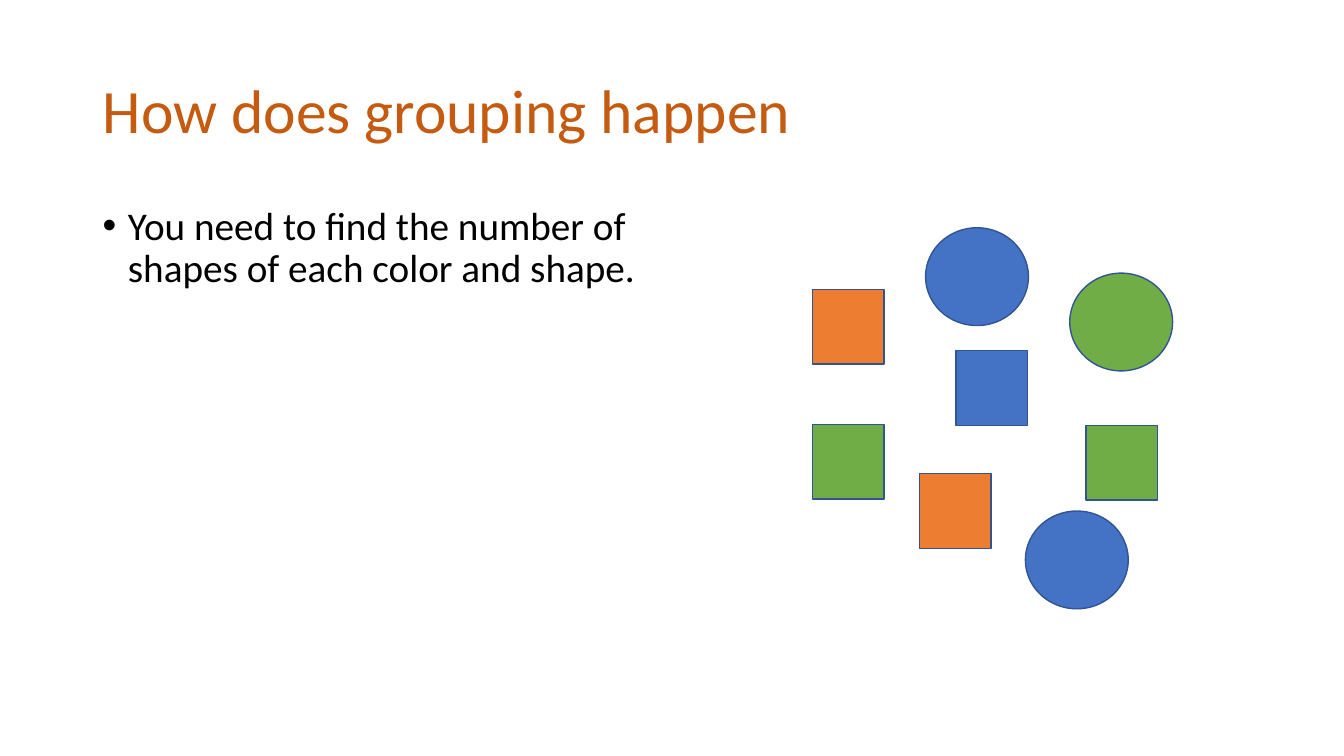
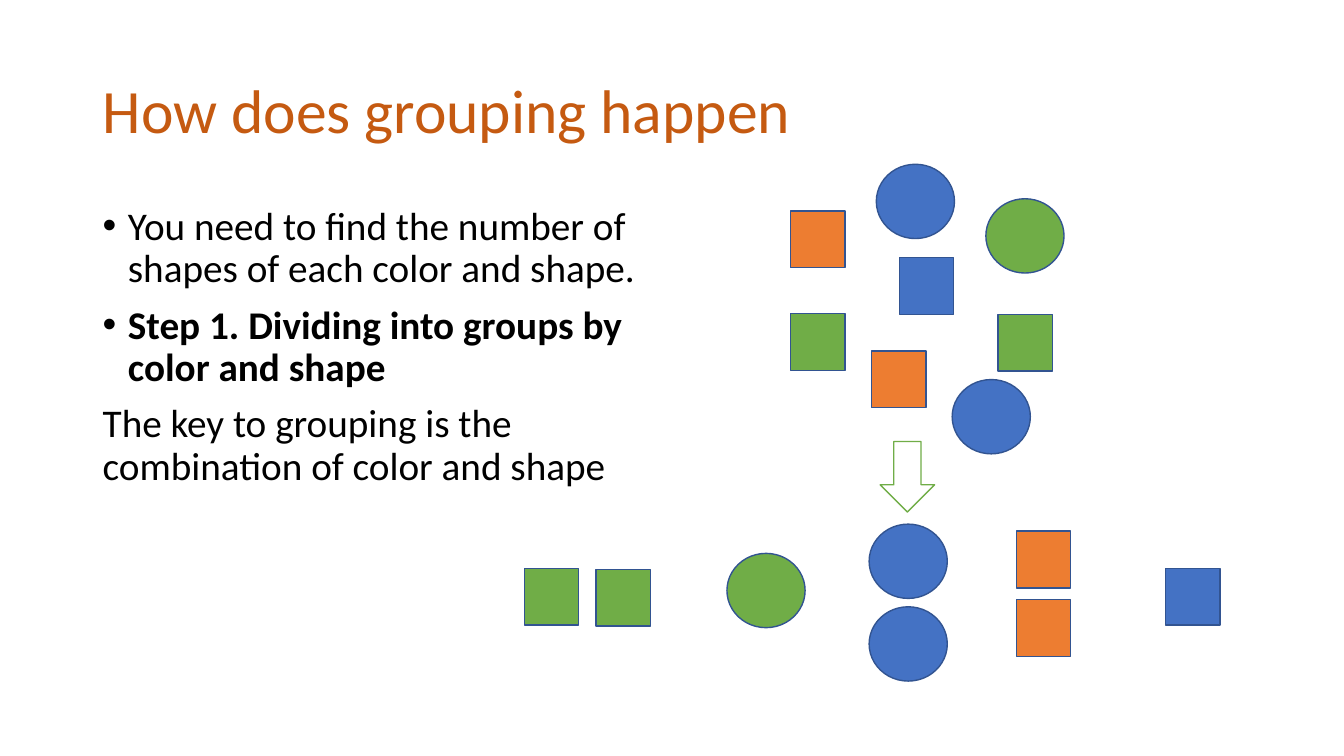
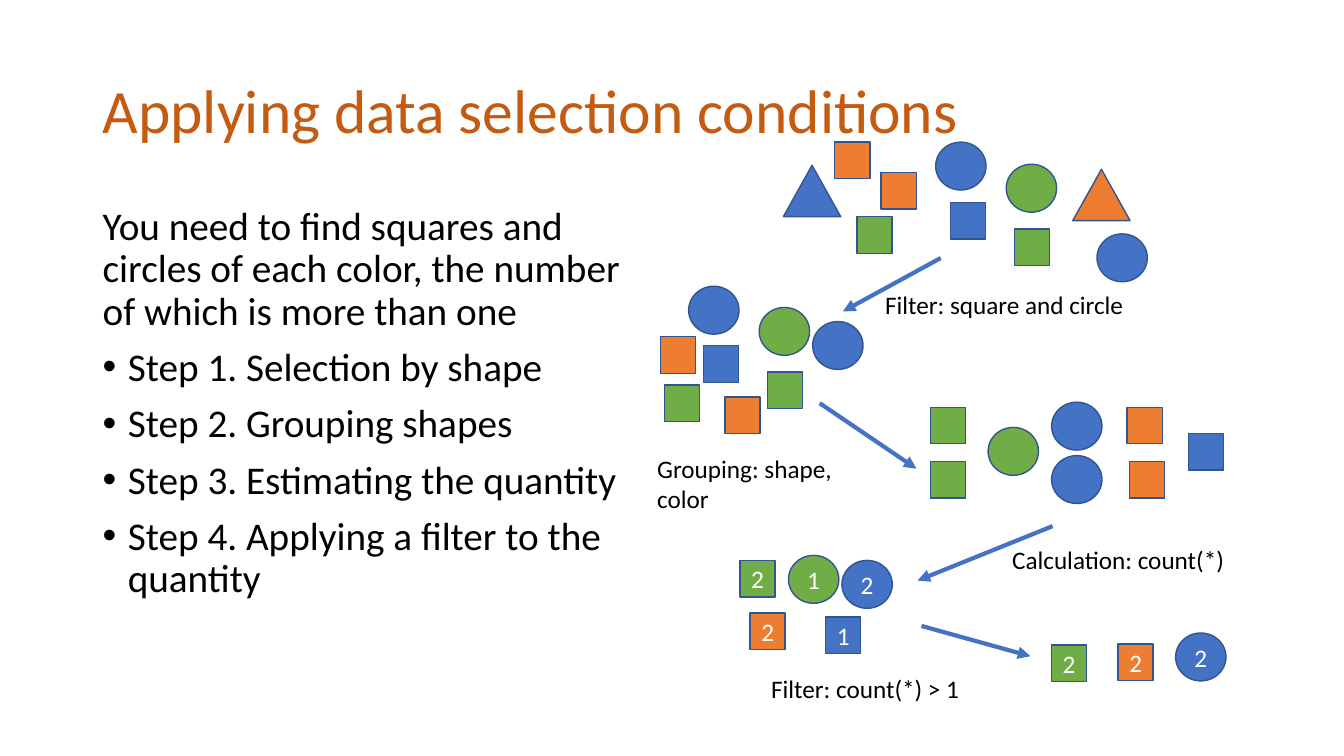
from dataclasses import dataclass

from pptx import Presentation
from pptx.dml.color import RGBColor
from pptx.enum.shapes import MSO_CONNECTOR, MSO_SHAPE
from pptx.enum.text import MSO_ANCHOR, PP_ALIGN
from pptx.oxml.ns import qn
from pptx.util import Inches, Pt
from lxml.etree import SubElement


@dataclass(frozen=True)
class Theme:
    font: str = "Calibri"
    title: str = "C55A11"
    text: str = "000000"
    white: str = "FFFFFF"
    blue: str = "4472C4"
    orange: str = "ED7D31"
    green: str = "70AD47"
    outline: str = "325491"
    title_size: int = 44
    body_size: int = 28
    label_size: int = 18


THEME = Theme()
BLUE, ORANGE, GREEN = THEME.blue, THEME.orange, THEME.green
SQUARE, CIRCLE, TRIANGLE = MSO_SHAPE.RECTANGLE, MSO_SHAPE.OVAL, MSO_SHAPE.ISOSCELES_TRIANGLE

# Full-size tokens; each diagram draws them at its own scale
TOKEN_SIZE = {SQUARE: (0.71, 0.74), CIRCLE: (1.02, 0.97), TRIANGLE: (1.16, 1.04)}
MEDIUM, SMALL = 0.76, 0.49

# The ungrouped collection: kind, colour, x, y
MIXED_TOKENS = [
    (SQUARE, BLUE, 1.42, 1.22), (SQUARE, ORANGE, 0, 0.61),
    (SQUARE, GREEN, 2.71, 1.96), (SQUARE, GREEN, 0, 1.95),
    (SQUARE, ORANGE, 1.06, 2.44), (CIRCLE, BLUE, 2.11, 2.81),
    (CIRCLE, BLUE, 1.12, 0), (CIRCLE, GREEN, 2.55, 0.45),
]
GROUPED_TOKENS = [
    (SQUARE, GREEN, 5.91, 5.65), (SQUARE, GREEN, 5.2, 5.64),
    (CIRCLE, GREEN, 7.21, 5.49),
    (CIRCLE, BLUE, 8.62, 6.02), (CIRCLE, BLUE, 8.62, 5.2),
    (SQUARE, ORANGE, 10.08, 5.95), (SQUARE, ORANGE, 10.08, 5.27),
    (SQUARE, BLUE, 11.56, 5.64),
]

# Stages of the selection pipeline: kind, colour, x, y and, once counted, the count
SOURCE_STAGE = [
    (SQUARE, BLUE, 9.43, 2.01), (SQUARE, ORANGE, 8.74, 1.71),
    (SQUARE, GREEN, 10.06, 2.27), (SQUARE, GREEN, 8.5, 2.15),
    (SQUARE, ORANGE, 8.28, 1.41), (CIRCLE, BLUE, 10.88, 2.32),
    (CIRCLE, BLUE, 9.28, 1.41), (CIRCLE, GREEN, 9.98, 1.63),
    (TRIANGLE, ORANGE, 10.64, 1.68), (TRIANGLE, BLUE, 7.77, 1.64),
]
FILTERED_STAGE = [
    (SQUARE, BLUE, 6.98, 3.43), (SQUARE, ORANGE, 6.55, 3.34),
    (SQUARE, GREEN, 7.61, 3.69), (SQUARE, GREEN, 6.59, 3.82),
    (SQUARE, ORANGE, 7.19, 3.94), (CIRCLE, BLUE, 8.06, 3.19),
    (CIRCLE, BLUE, 6.83, 2.84), (CIRCLE, GREEN, 7.53, 3.05),
]
GROUPED_STAGE = [
    (SQUARE, GREEN, 9.23, 4.04), (SQUARE, GREEN, 9.23, 4.58),
    (CIRCLE, GREEN, 9.8, 4.24),
    (CIRCLE, BLUE, 10.43, 4.52), (CIRCLE, BLUE, 10.43, 3.99),
    (SQUARE, ORANGE, 11.2, 4.58), (SQUARE, ORANGE, 11.18, 4.04),
    (SQUARE, BLUE, 11.79, 4.3),
]
COUNTED_STAGE = [
    (SQUARE, GREEN, 7.34, 5.56, "2"), (SQUARE, BLUE, 8.19, 6.12, "1"),
    (SQUARE, ORANGE, 7.44, 6.08, "2"), (CIRCLE, BLUE, 8.35, 5.56, "2"),
    (CIRCLE, GREEN, 7.82, 5.51, "1"),
]
RESULT_STAGE = [
    (SQUARE, GREEN, 10.43, 6.4, "2"), (SQUARE, ORANGE, 11.09, 6.39, "2"),
    (CIRCLE, BLUE, 11.66, 6.28, "2"),
]
STAGES = [SOURCE_STAGE, FILTERED_STAGE, GROUPED_STAGE, COUNTED_STAGE, RESULT_STAGE]
STAGE_ARROWS = [
    (9.33, 2.56, 8.36, 3.09), (8.13, 4, 9.09, 4.65),
    (10.44, 5.22, 9.1, 5.76), (9.14, 6.21, 10.22, 6.51),
]
STAGE_LABELS = [
    ("Filter: square and circle", 8.68, 2.82, 2.87, 0.4),
    ("Grouping: shape, color", 6.42, 4.45, 2.43, 0.71),
    ("Calculation: count(*)", 9.94, 5.35, 3.23, 0.4),
    ("Filter: count(*) > 1", 7.55, 6.63, 2.87, 0.4),
]

TASK = ("You need to find the number of shapes of each color and shape.", True, False)


def style(paragraph, size, colour, bold=False):
    font = paragraph.font
    font.name, font.size, font.bold = THEME.font, Pt(size), bold
    font.color.rgb = RGBColor.from_string(colour)


def add_frame(slide, *box):
    frame = slide.shapes.add_textbox(*map(Inches, box)).text_frame
    frame.word_wrap = True
    return frame


def add_titled_slide(deck, title):
    slide = deck.slides.add_slide(deck.slide_layouts[6])
    frame = add_frame(slide, 0.92, 0.4, 11.5, 1.45)
    frame.vertical_anchor = MSO_ANCHOR.MIDDLE
    frame.text = title
    frame.paragraphs[0].line_spacing = 0.9
    style(frame.paragraphs[0], THEME.title_size, THEME.title)
    return slide


def add_bullet(paragraph):
    properties = paragraph._p.get_or_add_pPr()
    properties.set("marL", str(Inches(0.25)))
    properties.set("indent", str(Inches(-0.25)))
    SubElement(properties, qn("a:buFont")).set("typeface", "Arial")
    SubElement(properties, qn("a:buChar")).set("char", "•")


def add_body(slide, items, width=5.52):
    """Each item is its text, whether it has a bullet, and whether it is bold."""
    frame = add_frame(slide, 0.92, 2, width, 4.76)
    frame.text = "\n".join(text for text, _, _ in items)
    for index, (paragraph, (_, bulleted, bold)) in enumerate(zip(frame.paragraphs, items)):
        if bulleted:
            add_bullet(paragraph)
        paragraph.line_spacing = 0.9
        if index:
            paragraph.space_before = Pt(10)
        style(paragraph, THEME.body_size, THEME.text, bold)


def add_label(slide, text, *box):
    frame = add_frame(slide, *box)
    frame.text = text
    style(frame.paragraphs[0], THEME.label_size, THEME.text)


def add_figure(slide, kind, box, fill, outline):
    figure = slide.shapes.add_shape(kind, *map(Inches, box))
    figure.shadow.inherit = False
    figure.fill.solid()
    figure.fill.fore_color.rgb = RGBColor.from_string(fill)
    figure.line.color.rgb = RGBColor.from_string(outline)
    figure.line.width = Pt(1)
    return figure


def add_tokens(slide, tokens, scale):
    for kind, colour, x, y, *count in tokens:
        width, height = (side * scale for side in TOKEN_SIZE[kind])
        token = add_figure(slide, kind, (x, y, width, height), colour, THEME.outline)
        if count:
            frame = token.text_frame
            frame.text = count[0]
            frame.vertical_anchor = MSO_ANCHOR.MIDDLE
            frame.paragraphs[0].alignment = PP_ALIGN.CENTER
            style(frame.paragraphs[0], THEME.label_size, THEME.white)


def add_mixed_tokens(slide, left, top, scale=1):
    placed = [(kind, colour, left + x * scale, top + y * scale)
              for kind, colour, x, y in MIXED_TOKENS]
    add_tokens(slide, placed, scale)


def add_arrow(slide, *ends):
    arrow = slide.shapes.add_connector(MSO_CONNECTOR.STRAIGHT, *map(Inches, ends))
    arrow.line.color.rgb = RGBColor.from_string(BLUE)
    arrow.line.width = Pt(3)
    SubElement(arrow.line._get_or_add_ln(), qn("a:tailEnd")).set("type", "triangle")
    SubElement(arrow._element.spPr, qn("a:effectLst"))


def build_task(deck):
    slide = add_titled_slide(deck, "How does grouping happen")
    add_body(slide, [TASK])
    add_mixed_tokens(slide, 8.06, 2.26)


def build_grouping(deck):
    slide = add_titled_slide(deck, "How does grouping happen")
    add_body(slide, [
        TASK,
        ("Step 1. Dividing into groups by color and shape", True, True),
        ("The key to grouping is the combination of color and shape", False, False),
    ])
    add_mixed_tokens(slide, 7.84, 1.63, MEDIUM)
    add_tokens(slide, GROUPED_TOKENS, MEDIUM)
    add_figure(slide, MSO_SHAPE.DOWN_ARROW, (8.73, 4.38, 0.54, 0.7), THEME.white, GREEN)


def build_selection(deck):
    slide = add_titled_slide(deck, "Applying data selection conditions")
    add_body(slide, [
        ("You need to find squares and circles of each color, "
         "the number of which is more than one", False, False),
        ("Step 1. Selection by shape", True, False),
        ("Step 2. Grouping shapes", True, False),
        ("Step 3. Estimating the quantity", True, False),
        ("Step 4. Applying a filter to the quantity", True, False),
    ], width=5.59)
    for stage in STAGES:
        add_tokens(slide, stage, SMALL)
    for ends in STAGE_ARROWS:
        add_arrow(slide, *ends)
    for label in STAGE_LABELS:
        add_label(slide, *label)


def main():
    deck = Presentation()
    deck.slide_width, deck.slide_height = Inches(13.33), Inches(7.5)
    build_task(deck)
    build_grouping(deck)
    build_selection(deck)
    deck.save("out.pptx")


if __name__ == "__main__":
    main()
